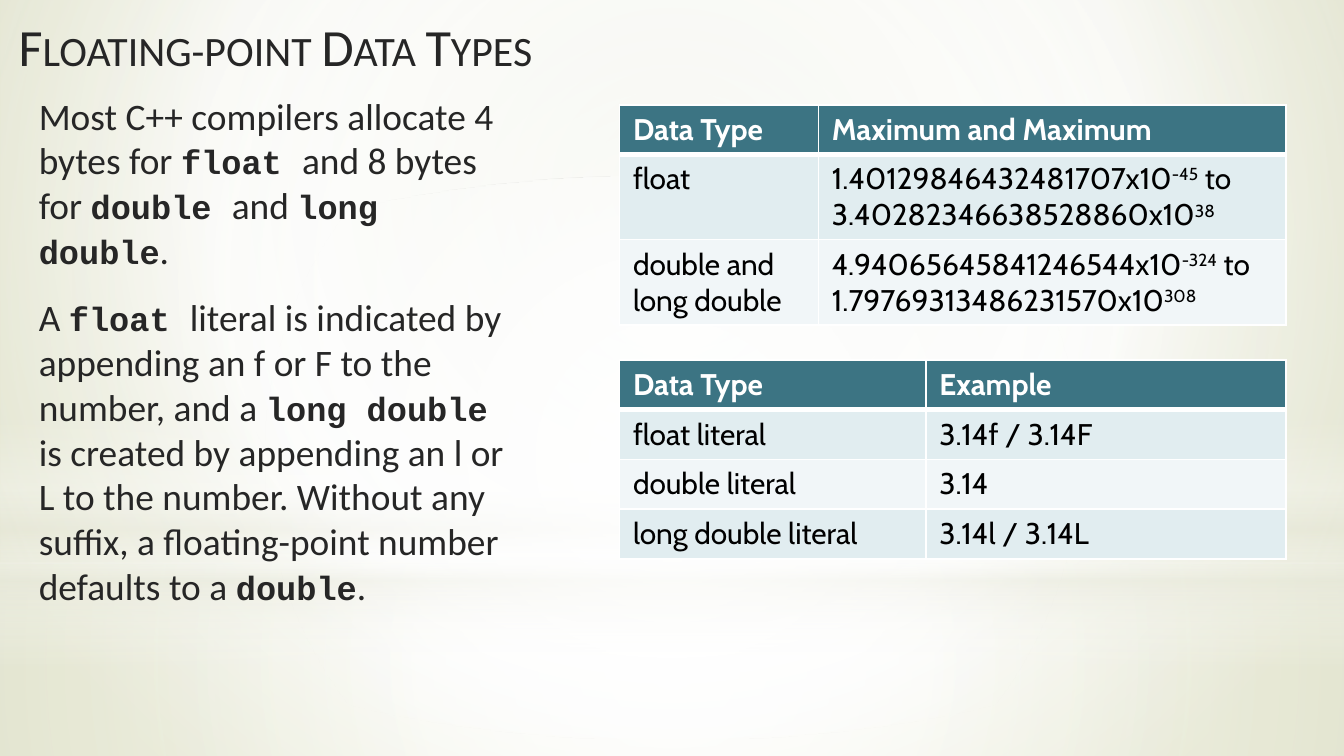
from dataclasses import dataclass

from lxml.etree import SubElement
from pptx import Presentation
from pptx.dml.color import RGBColor
from pptx.enum.shapes import MSO_SHAPE as Preset
from pptx.enum.text import MSO_ANCHOR as Anchor
from pptx.oxml import parse_xml
from pptx.oxml.ns import nsdecls, qn
from pptx.util import Inches, Pt


@dataclass(frozen=True)
class Theme:
    """Colours, fonts and type sizes of the slide."""
    ink: str = "262626"
    black: str = "000000"
    white: str = "FFFFFF"
    cream: str = "EAEBDE"
    sage: str = "E3E5D1"
    olive: str = "CCD09F"
    teal: str = "3C7483"
    bands: tuple = ("E1EDF0", "F1F6F8")
    text_font: str = "Calibri"
    code_font: str = "Courier New"
    table_font: str = "Cabin"
    title_size: int = 28
    text_size: int = 20
    code_size: int = 18
    table_size: int = 16
    paragraph_gap: int = 12
    rule: int = 1
    header_rule: int = 3


THEME = Theme()
CENTRE = (50, 50, 50, 50)


def style(span, font, size, colour, bold=False):
    """Give a run its font, size, colour and weight."""
    span.font.name = font
    span.font.size = Pt(size)
    span.font.bold = bold
    span.font.color.rgb = RGBColor.from_string(colour)


def set_gradient(fill, properties, stops, focus=None):
    """Fill with (position, colour, opacity) stops, circular if a focus is given."""
    fill.gradient()
    marks = "".join(
        f'<a:gs pos="{position * 1000}"><a:srgbClr val="{colour}">'
        f'<a:alpha val="{opacity * 1000}"/></a:srgbClr></a:gs>'
        for position, colour, opacity in stops)
    if focus:
        edges = " ".join(f'{side}="{value * 1000}"' for side, value in zip("ltrb", focus))
        direction = f'<a:path path="circle"><a:fillToRect {edges}/></a:path>'
    else:
        direction = '<a:lin ang="5400000" scaled="0"/>'
    gradient = parse_xml(
        f'<a:gradFill {nsdecls("a")} rotWithShape="1">'
        f'<a:gsLst>{marks}</a:gsLst>{direction}</a:gradFill>')
    properties.replace(properties.find(qn("a:gradFill")), gradient)


def add_glow(slide, preset, top, height, stops, focus=None):
    """Add a full-width translucent gradient shape."""
    shape = slide.shapes.add_shape(preset, 0, Inches(top), Inches(10), Inches(height))
    shape.shadow.inherit = False
    shape.line.fill.background()
    set_gradient(shape.fill, shape._element.spPr, stops, focus)


def add_backdrop(slide):
    """Paint the background and the glows over it."""
    white, cream = THEME.white, THEME.cream
    background = slide.background.fill
    set_gradient(background, slide._element.cSld.bg.bgPr,
                 [(0, THEME.sage, 100), (60, white, 100), (100, THEME.olive, 100)],
                 (20, 10, 20, 60))
    add_glow(slide, Preset.RECTANGLE, 4.19, 1.44,
             [(0, white, 91), (37, white, 76), (100, cream, 79)], CENTRE)
    add_glow(slide, Preset.RECTANGLE, 0, 4.19,
             [(0, white, 89), (48, white, 62), (100, cream, 79)], CENTRE)
    add_glow(slide, Preset.RECTANGLE, 3.09, 1.88,
             [(0, white, 0), (29, white, 30), (45, cream, 40),
              (55, white, 26), (65, cream, 60), (100, white, 0)])
    add_glow(slide, Preset.OVAL, 1.31, 4.19, [(0, white, 100), (56, white, 0)], CENTRE)


def add_box(slide, left, top, width, height):
    """Add a wrapping text box and return its text frame."""
    box = slide.shapes.add_textbox(Inches(left), Inches(top), Inches(width), Inches(height))
    box.text_frame.word_wrap = True
    box.text_frame.vertical_anchor = Anchor.TOP
    return box.text_frame


def add_title(slide, text):
    """Add the title in small capitals."""
    frame = add_box(slide, 0.04, 0.06, 4.25, 0.63)
    frame.text = text
    span = frame.paragraphs[0].runs[0]
    style(span, THEME.text_font, THEME.title_size, THEME.ink)
    span.font._element.set("cap", "small")


def add_body(slide, texts):
    """Add paragraphs in which backticks enclose code."""
    frame = add_box(slide, 0.19, 0.64, 3.71, 4.31)
    for number, text in enumerate(texts):
        para = frame.add_paragraph() if number else frame.paragraphs[0]
        para.space_before = Pt(THEME.paragraph_gap if number else 0)
        for index, part in enumerate(text.split("`")):
            span = para.add_run()
            span.text = part
            if index % 2:
                style(span, THEME.code_font, THEME.code_size, THEME.ink, True)
            else:
                style(span, THEME.text_font, THEME.text_size, THEME.ink)


def set_borders(cell, top, bottom):
    """Draw white cell borders with the given top and bottom widths."""
    properties = cell._tc.get_or_add_tcPr()
    widths = {"lnL": THEME.rule, "lnR": THEME.rule, "lnT": top, "lnB": bottom}
    for index, (side, width) in enumerate(widths.items()):
        line = parse_xml(f'<a:{side} {nsdecls("a")} w="{Pt(width)}"/>')
        fill = SubElement(line, qn("a:solidFill"))
        SubElement(fill, qn("a:srgbClr"), val=THEME.white)
        properties.insert(index, line)


def fill_cell(cell, text, row):
    """Write a cell in which carets enclose superscripts, and style it for its row."""
    header = row == 0
    cell.fill.solid()
    cell.fill.fore_color.rgb = RGBColor.from_string(
        THEME.teal if header else THEME.bands[(row - 1) % 2])
    set_borders(cell, THEME.header_rule if row == 1 else THEME.rule,
                THEME.header_rule if header else THEME.rule)
    para = cell.text_frame.paragraphs[0]
    for index, part in enumerate(text.split("^")):
        if part:
            span = para.add_run()
            span.text = part
            style(span, THEME.table_font, THEME.table_size,
                  THEME.white if header else THEME.black, header)
            if index % 2:
                span.font._element.set("baseline", "30000")


def add_grid(slide, top, widths, heights, rows):
    """Add a table with a teal header and banded rows."""
    table = slide.shapes.add_table(
        len(rows), len(widths), Inches(4.61), Inches(top),
        Inches(sum(widths)), Inches(sum(heights))).table
    for column, width in zip(table.columns, widths):
        column.width = Inches(width)
    for number, (height, texts) in enumerate(zip(heights, rows)):
        table.rows[number].height = Inches(height)
        for index, text in enumerate(texts):
            fill_cell(table.cell(number, index), text, number)


def main():
    """Build and save the slide."""
    deck = Presentation()
    deck.slide_width = Inches(10)
    deck.slide_height = Inches(10) * 9 // 16
    slide = deck.slides.add_slide(deck.slide_layouts[6])
    add_backdrop(slide)
    add_title(slide, "Floating-point Data Types")
    add_body(slide, [
        "Most C++ compilers allocate 4 bytes for `float `and 8 bytes for "
        "`double `and `long double`.",
        "A `float `literal is indicated by appending an f or F to the number, and a "
        "`long double `is created by appending an l or L to the number. Without any "
        "suffix, a floating-point number defaults to a `double`.",
    ])
    add_grid(slide, 0.78, [1.48, 3.48], [0.37, 0.63, 0.63], [
        ("Data Type", "Maximum and Maximum"),
        ("float", "1.40129846432481707x10^-45^ to 3.40282346638528860x10^38^"),
        ("double and long double",
         "4.94065645841246544x10^-324^ to 1.79769313486231570x10^308^"),
    ])
    add_grid(slide, 2.68, [2.28, 2.68], [0.37] * 4, [
        ("Data Type", "Example"),
        ("float literal", "3.14f / 3.14F"),
        ("double literal", "3.14"),
        ("long double literal", "3.14l / 3.14L"),
    ])
    deck.save("out.pptx")


if __name__ == "__main__":
    main()
